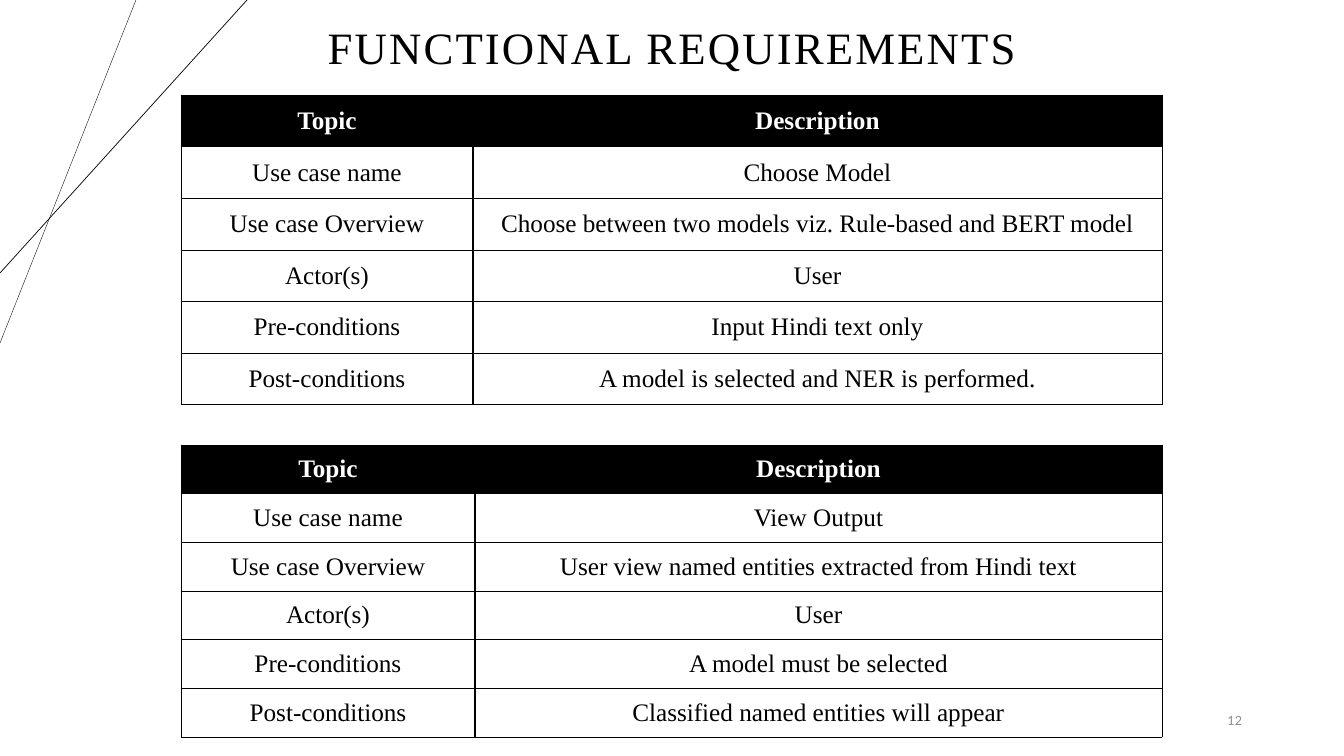
from lxml.etree import SubElement
from pptx import Presentation
from pptx.dml.color import RGBColor
from pptx.enum.shapes import MSO_CONNECTOR
from pptx.enum.text import MSO_ANCHOR, PP_ALIGN
from pptx.oxml.ns import qn
from pptx.util import Pt

TITLE = "FUNCTIONAL REQUIREMENTS"
PAGE_NUMBER = "12"
SERIF = "Times New Roman"
BLACK, WHITE, GREY = "000000", "FFFFFF", "8C8C8C"
HEADER = ("Topic", "Description")
TOPICS = ("Use case name", "Use case Overview", "Actor(s)", "Pre-conditions", "Post-conditions")
USE_CASES = [
    {
        "top": 445, "height": 292, "columns": (294, 687),
        "descriptions": (
            "View Output",
            "User view named entities extracted from Hindi text",
            "User",
            "A model must be selected",
            "Classified named entities will appear",
        ),
    },
    {
        "top": 95, "height": 310, "columns": (292, 689),
        "descriptions": (
            "Choose Model",
            "Choose between two models viz. Rule-based and BERT model",
            "User",
            "Input Hindi text only",
            "A model is selected and NER is performed.",
        ),
    },
]
TABLE_LEFT = 181
CELL_MARGIN = 7
CORNER_LINES = [((136, 0), (0, 343), 0.25), ((247, 0), (0, 273), 0.5)]


def px(length):
    return round(length * 914400 / 100.8)


def colour(value):
    return RGBColor.from_string(value)


def format_text(frame, size, font, shade, align, bold=False):
    frame.vertical_anchor = MSO_ANCHOR.MIDDLE
    for para in frame.paragraphs:
        para.alignment = align
        for span in para.runs:
            span.font.size = Pt(size)
            span.font.name = font
            span.font.bold = bold
            span.font.color.rgb = colour(shade)


def add_border(cell, side, points):
    properties = cell._tc.get_or_add_tcPr()
    line = SubElement(properties, qn(f"a:ln{side}"), w=str(Pt(points)))
    fill = SubElement(line, qn("a:solidFill"))
    SubElement(fill, qn("a:srgbClr"), val=BLACK)


def add_corner_line(page, start, end, points):
    line = page.shapes.add_connector(
        MSO_CONNECTOR.STRAIGHT, *(px(value) for value in start + end)
    )
    line.line.color.rgb = colour(BLACK)
    line.line.width = Pt(points)
    SubElement(line._element.spPr, qn("a:effectLst"))


def add_use_case(page, use_case):
    rows = [HEADER, *zip(TOPICS, use_case["descriptions"])]
    columns = use_case["columns"]
    table = page.shapes.add_table(
        len(rows), len(columns), px(TABLE_LEFT), px(use_case["top"]),
        px(sum(columns)), px(use_case["height"]),
    ).table
    for column, width in zip(table.columns, columns):
        column.width = px(width)
    for row_index, texts in enumerate(rows):
        is_header = row_index == 0
        for column_index, text in enumerate(texts):
            cell = table.cell(row_index, column_index)
            cell.text = text
            cell.margin_left = cell.margin_right = px(CELL_MARGIN)
            cell.margin_top = cell.margin_bottom = px(CELL_MARGIN / 2 if is_header else CELL_MARGIN)
            cell.vertical_anchor = MSO_ANCHOR.MIDDLE
            format_text(cell.text_frame, 18, SERIF, WHITE if is_header else BLACK,
                        PP_ALIGN.CENTER, is_header)
            cell.vertical_anchor = MSO_ANCHOR.MIDDLE
            inner_side = "R" if column_index == 0 else "L"
            for side in "LRTB":
                add_border(cell, side, 1 if side == inner_side else 0.5)
            cell.fill.solid()
            cell.fill.fore_color.rgb = colour(BLACK if is_header else WHITE)


def main():
    deck = Presentation()
    deck.slide_width, deck.slide_height = px(1344), px(756)
    page = deck.slides.add_slide(deck.slide_layouts[5])
    page.background.fill.solid()
    page.background.fill.fore_color.rgb = colour(WHITE)

    for start, end, points in CORNER_LINES:
        add_corner_line(page, start, end, points)

    title = page.shapes.title
    title.left, title.top, title.width, title.height = px(208), px(3), px(928), px(93)
    title.text_frame.text = TITLE
    format_text(title.text_frame, 32, SERIF, BLACK, PP_ALIGN.CENTER)
    heading = title.text_frame.paragraphs[0]
    heading.line_spacing = 0.9
    heading.runs[0].font._element.set("spc", "150")

    number = page.shapes.add_textbox(px(950), px(701), px(302), px(40))
    number.text_frame.word_wrap = True
    number.text_frame.text = PAGE_NUMBER
    format_text(number.text_frame, 9, "Lato", GREY, PP_ALIGN.RIGHT)

    for use_case in USE_CASES:
        add_use_case(page, use_case)
    deck.save("out.pptx")


if __name__ == "__main__":
    main()
